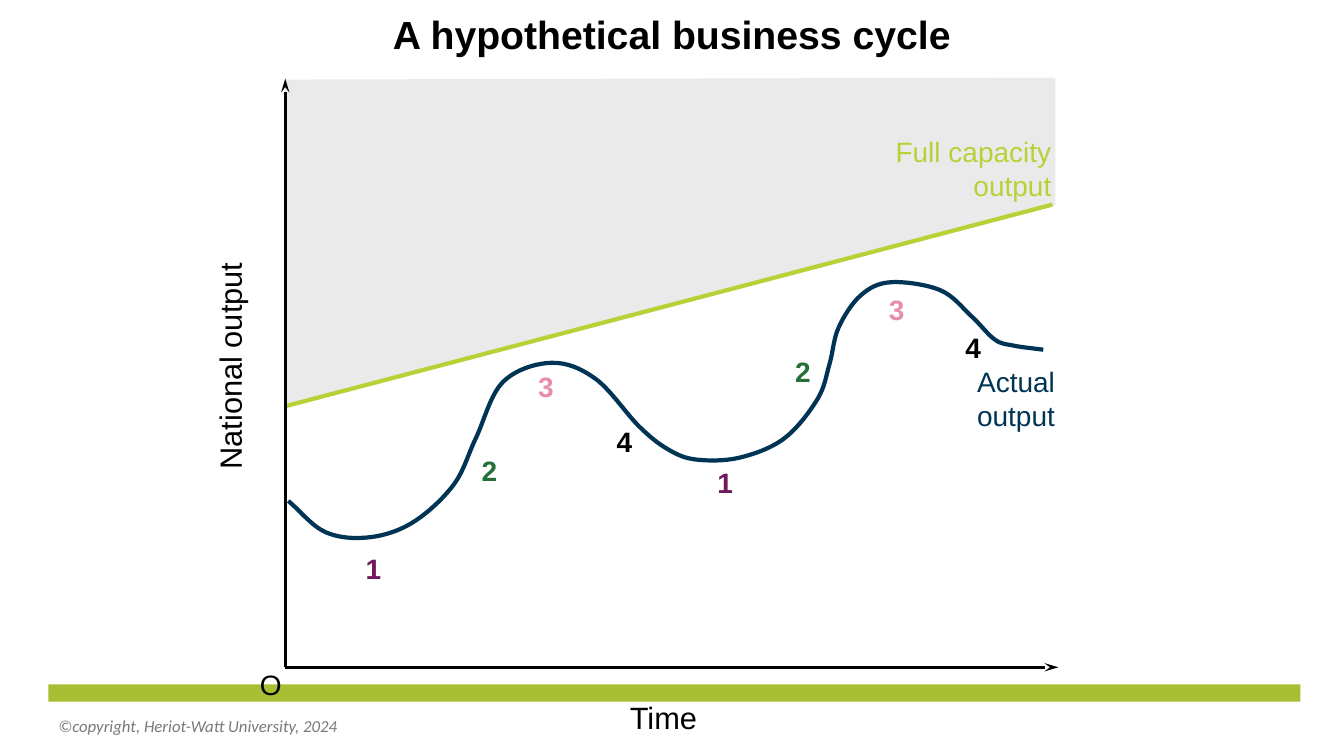
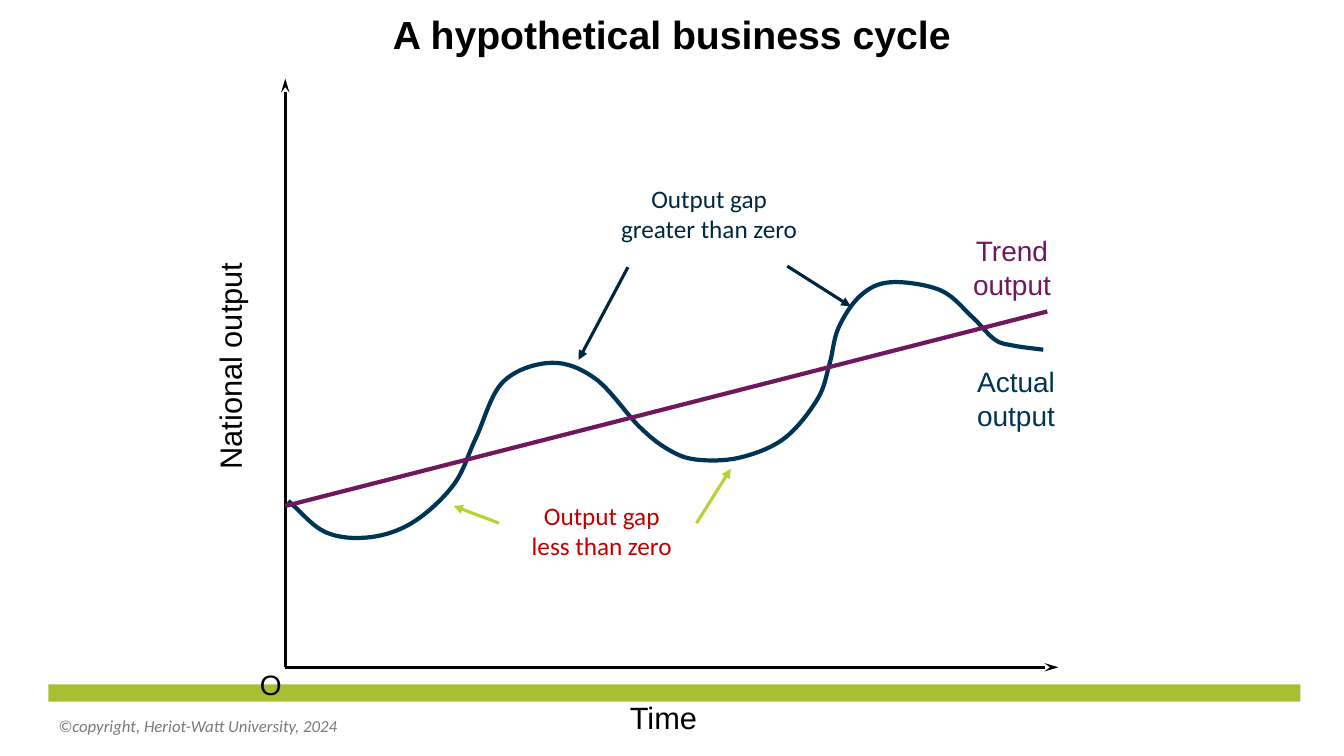
import itertools
from collections import namedtuple

import pptx
import pptx.dml.color
import pptx.enum.shapes
import pptx.enum.text
import pptx.oxml
import pptx.oxml.ns
import pptx.util

RGBColor = pptx.dml.color.RGBColor
Align = pptx.enum.text.PP_ALIGN
Anchor = pptx.enum.text.MSO_ANCHOR
AutoSize = pptx.enum.text.MSO_AUTO_SIZE
NAMESPACE = pptx.oxml.ns.nsdecls("a")

PX = 9144  # EMU per px, 100 px to the inch
Box = namedtuple("Box", "left top width height")

BLACK = RGBColor(0x00, 0x00, 0x00)
GREY = RGBColor(0x79, 0x79, 0x79)
PALE_GREY = RGBColor(0xEA, 0xEA, 0xEA)
BAND_GREEN = RGBColor(0xA8, 0xBF, 0x33)
LIME = RGBColor(0xB8, 0xD1, 0x37)
GREEN = RGBColor(0x25, 0x70, 0x39)
NAVY = RGBColor(0x00, 0x34, 0x54)
DARK_NAVY = RGBColor(0x00, 0x27, 0x3F)
PURPLE = RGBColor(0x6F, 0x18, 0x5E)
PINK = RGBColor(0xE8, 0x8E, 0xAD)
RED = RGBColor(0xC0, 0x00, 0x00)

PAGE_FORMAT = dict(slide_width=pptx.util.Pt(960), slide_height=pptx.util.Pt(540))
TITLE = Box(0, 0, 1333, 62)
FOOTER = Box(48, 679, 1242, 61)
PLOT = Box(283, 78, 764, 584)

TITLE_FORMAT = dict(size=pptx.util.Pt(28), name="Arial", bold=True)
FOOTER_FORMAT = dict(size=pptx.util.Pt(12), name="Calibri", italic=True)
AXIS_FORMAT = dict(size=pptx.util.Pt(22), name="Arial")
LABEL_FORMAT = dict(size=pptx.util.Pt(20), name="Arial")
PHASE_FORMAT = dict(LABEL_FORMAT, bold=True)
GAP_FORMAT = dict(size=pptx.util.Pt(18), name="Calibri")

AXIS_HEAD = dict(type="stealth", len="lg")
POINTER_HEAD = dict(type="triangle")

# Points are measured from the top left corner of the plot.
ACTUAL_OUTPUT = [
    (3, 419), (40, 450), (84, 455), (127, 440), (167, 403), (189, 357),
    (216, 301), (264, 282), (308, 298), (351, 345), (380, 368), (408, 378),
    (451, 376), (495, 357), (528, 318), (540, 283), (549, 247), (571, 215),
    (601, 202), (650, 210), (681, 236), (704, 259), (723, 265), (752, 269),
]
PHASE_COLORS = {"1": PURPLE, "2": GREEN, "3": PINK, "4": BLACK}
PHASE_CORNERS = [
    (70, 464), (185, 367), (241, 284), (319, 338),
    (419, 379), (496, 269), (589, 207), (665, 245),
]
OUTPUT_GAPS = [
    ("Output gap\vgreater than zero", Box(282, 99, 277, 91), DARK_NAVY, DARK_NAVY,
     [((340, 187), (291, 279)), ((498, 186), (561, 226))]),
    ("Output gap\vless than zero", Box(199, 413, 230, 91), RED, LIME,
     [((212, 441), (167, 424)), ((408, 441), (442, 387))]),
]


def set_values(target, values):
    for name, value in values.items():
        setattr(target, name, value)


def emu(box):
    return [side * PX for side in box]


def within(outer, inner):
    """Turn a box measured from the corner of outer into a slide box."""
    return inner._replace(left=outer.left + inner.left, top=outer.top + inner.top)


def write(frame, text, font_values, color, align=Align.LEFT):
    frame.text = text
    for paragraph in frame.paragraphs:
        paragraph.alignment = align
        for run in paragraph.runs:
            set_values(run.font, font_values)
            run.font.color.rgb = color


def add_label(slide, box, text, font_values, color, align=Align.LEFT):
    label = slide.shapes.add_textbox(*emu(box))
    write(label.text_frame, text, font_values, color, align)
    set_values(label.text_frame,
               dict(word_wrap=False, auto_size=AutoSize.SHAPE_TO_FIT_TEXT))
    return label


def add_line(slide, area, start, end, color, weight, head=None):
    """Draw a line between two points of area, with an arrowhead at its end."""
    ends = [(corner + offset) * PX for point in (start, end)
            for corner, offset in zip(area, point)]
    line = slide.shapes.add_connector(
        pptx.enum.shapes.MSO_CONNECTOR.STRAIGHT, *ends)
    line.line.color.rgb = color
    line.line.width = pptx.util.Pt(weight)
    properties = line.element.spPr
    if head:
        arrowhead = pptx.oxml.parse_xml(f"<a:tailEnd {NAMESPACE}/>")
        for name, value in head.items():
            arrowhead.set(name, value)
        properties.find(pptx.oxml.ns.qn("a:ln")).append(arrowhead)
    properties.append(pptx.oxml.parse_xml(f"<a:effectLst {NAMESPACE}/>"))


def add_outline(slide, area, points, close):
    scaled = [(x * PX, y * PX) for x, y in points]
    builder = slide.shapes.build_freeform(*scaled[0])
    builder.add_line_segments(scaled[1:], close=close)
    outline = builder.convert_to_shape(area.left * PX, area.top * PX)
    outline.shadow.inherit = False
    return outline


def smooth_outline(outline):
    """Turn the straight segments into one smooth curve through their ends."""
    def mirror(end, neighbour):
        return tuple(2 * e - n for e, n in zip(end, neighbour))

    def control(knot, ahead, behind):
        return tuple(round(k + (a - b) / 6) for k, a, b in zip(knot, ahead, behind))

    knots = [(int(point.get("x")), int(point.get("y")))
             for point in outline.element.xpath(".//a:path//a:pt")]
    padded = [mirror(knots[0], knots[1]), *knots, mirror(knots[-1], knots[-2])]
    spans = zip(*(padded[i:] for i in range(4)))
    segments = outline.element.xpath(".//a:path/a:lnTo")
    for segment, (before, start, end, after) in zip(segments, spans):
        curve_points = (control(start, end, before), control(end, start, after), end)
        points = "".join(f'<a:pt x="{x}" y="{y}"/>' for x, y in curve_points)
        segment.getparent().replace(segment, pptx.oxml.parse_xml(
            f"<a:cubicBezTo {NAMESPACE}>{points}</a:cubicBezTo>"))


def add_footer(slide, layout, area):
    """Build the band and copyright line, then hand them to the layout."""
    band = slide.shapes.add_shape(
        pptx.enum.shapes.MSO_SHAPE.RECTANGLE, *emu(area._replace(height=17)))
    band.shadow.inherit = False
    band.fill.solid()
    band.fill.fore_color.rgb = BAND_GREEN
    band.line.fill.background()
    rights = slide.shapes.add_textbox(*emu(within(area, Box(0, 21, 450, 40))))
    write(rights.text_frame, "©copyright, Heriot-Watt University, 2024",
          FOOTER_FORMAT, GREY)
    set_values(rights.text_frame,
               dict(word_wrap=True, vertical_anchor=Anchor.MIDDLE))
    for number, part in enumerate((band, rights), start=100):
        part.element.nvSpPr.cNvPr.set("id", str(number))
        layout.shapes.element.append(part.element)


def add_title(slide, area):
    title = slide.shapes.title
    set_values(title, dict(zip(area._fields, emu(area))))
    write(title.text_frame, "A hypothetical business cycle",
          TITLE_FORMAT, BLACK, Align.CENTER)
    set_values(title.text_frame, dict(
        word_wrap=True, auto_size=AutoSize.NONE, vertical_anchor=Anchor.TOP,
        margin_top=10 * PX, margin_bottom=5 * PX))


def add_axes(slide, plot):
    origin = (0, plot.height)
    for tip in ((0, 0), (plot.width + 3, plot.height)):
        add_line(slide, plot, origin, tip, BLACK, 2, AXIS_HEAD)
    add_label(slide, within(plot, Box(-35, 579, 42, 44)), "O", LABEL_FORMAT, BLACK)
    add_label(slide, within(plot, Box(332, 610, 88, 47)), "Time", AXIS_FORMAT, BLACK)
    output = add_label(slide, within(plot, Box(-169, 260, 228, 47)),
                       "National output", AXIS_FORMAT, BLACK)
    output.rotation = 270


def add_actual_output(slide, plot):
    curve = add_outline(slide, plot, ACTUAL_OUTPUT, close=False)
    smooth_outline(curve)
    curve.fill.background()
    curve.line.color.rgb = NAVY
    curve.line.width = pptx.util.Pt(3)
    add_label(slide, within(plot, Box(676, 279, 98, 77)), "Actual\noutput",
              LABEL_FORMAT, NAVY, Align.CENTER)


def add_full_capacity(slide, plot):
    beyond = add_outline(
        slide, plot,
        [(0, 1), (0, 323), (plot.width, 126), (plot.width, -1)], close=True)
    beyond.fill.solid()
    beyond.fill.fore_color.rgb = PALE_GREY
    beyond.line.fill.background()
    add_line(slide, plot, (0, 325), (761, 125), LIME, 3)
    add_label(slide, within(plot, Box(594, 51, 176, 77)), "Full capacity\noutput",
              LABEL_FORMAT, LIME, Align.RIGHT)


def add_phases(slide, plot):
    phases = itertools.cycle(PHASE_COLORS.items())
    for corner, (phase, color) in zip(PHASE_CORNERS, phases):
        add_label(slide, within(plot, Box(*corner, 36, 44)), phase,
                  PHASE_FORMAT, color)


def add_trend(slide, plot):
    add_line(slide, plot, (0, 424), (756, 231), PURPLE, 3)
    add_label(slide, within(plot, Box(672, 149, 98, 77)), "Trend\noutput",
              LABEL_FORMAT, PURPLE, Align.CENTER)


def add_output_gaps(slide, plot):
    for text, box, text_color, arrow_color, arrows in OUTPUT_GAPS:
        add_label(slide, within(plot, box), text, GAP_FORMAT, text_color, Align.CENTER)
        for start, end in arrows:
            add_line(slide, plot, start, end, arrow_color, 2.25, POINTER_HEAD)


def main():
    deck = pptx.Presentation()
    set_values(deck, PAGE_FORMAT)
    layout = deck.slide_layouts[5]
    phases, gaps = (deck.slides.add_slide(layout) for _ in range(2))
    add_footer(phases, layout, FOOTER)

    add_full_capacity(phases, PLOT)
    for slide in (phases, gaps):
        add_title(slide, TITLE)
        add_axes(slide, PLOT)
        add_actual_output(slide, PLOT)
    add_phases(phases, PLOT)
    add_trend(gaps, PLOT)
    add_output_gaps(gaps, PLOT)
    deck.save("out.pptx")


if __name__ == "__main__":
    main()
